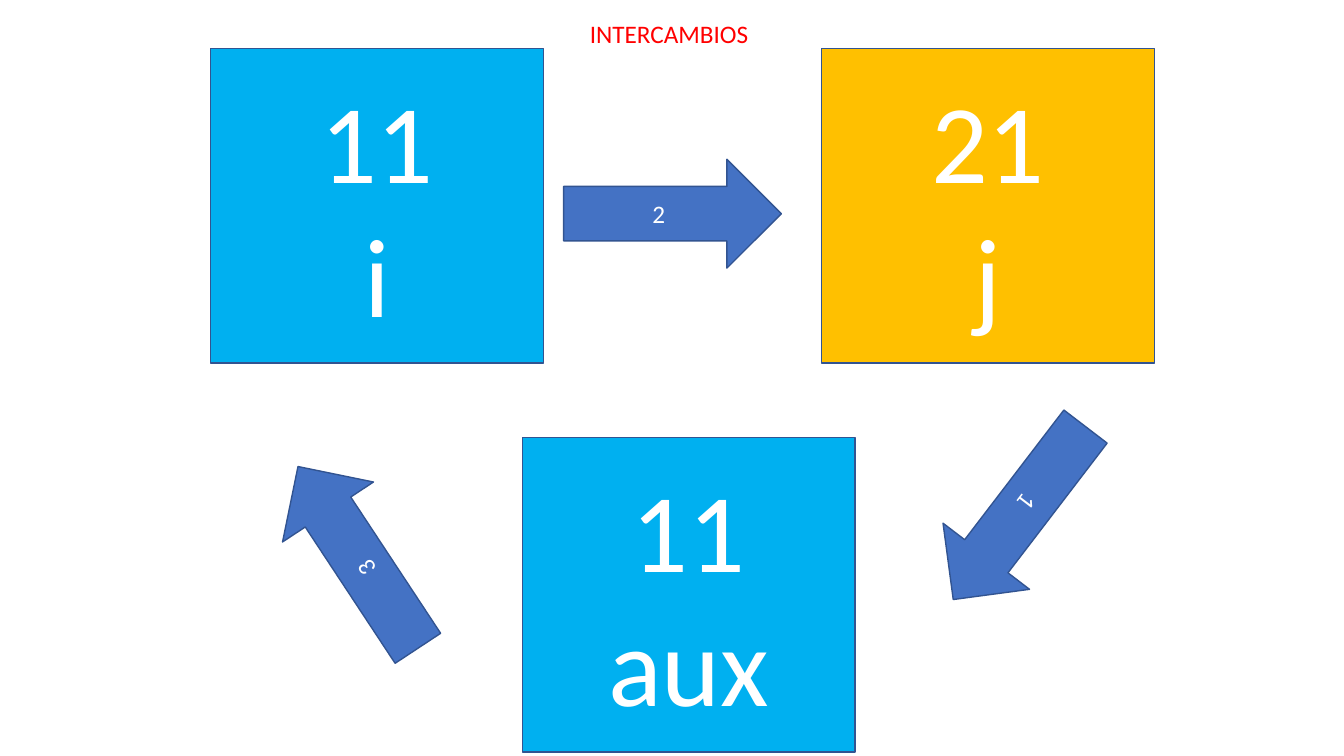
from pptx import Presentation
from pptx.dml.color import RGBColor
from pptx.enum.shapes import MSO_SHAPE
from pptx.enum.text import MSO_ANCHOR, MSO_AUTO_SIZE, PP_ALIGN
from pptx.util import Inches, Pt

BLUE = "00B0F0"
AMBER = "FFC000"
ARROW_BLUE = "4472C4"
OUTLINE = "325491"
WHITE = "FFFFFF"
RED = "FF0000"


def color(value):
    return RGBColor.from_string(value)


def write_text(shape, text, size, text_color, alignment=PP_ALIGN.CENTER):
    frame = shape.text_frame
    frame.text = text
    for paragraph in frame.paragraphs:
        paragraph.alignment = alignment
        paragraph.line_spacing = 1.0
        for span in paragraph.runs:
            span.font.name = "Calibri"
            span.font.size = Pt(size)
            span.font.color.rgb = color(text_color)


def add_filled_shape(page, kind, left, top, width, height, fill, text, size):
    shape = page.shapes.add_shape(
        kind, Inches(left), Inches(top), Inches(width), Inches(height))
    shape.shadow.inherit = False
    shape.fill.solid()
    shape.fill.fore_color.rgb = color(fill)
    shape.line.color.rgb = color(OUTLINE)
    shape.line.width = Pt(1)
    shape.text_frame.vertical_anchor = MSO_ANCHOR.MIDDLE
    write_text(shape, text, size, WHITE)
    return shape


def add_variable(page, left, top, fill, value, name):
    add_filled_shape(page, MSO_SHAPE.RECTANGLE, left, top, 3.3, 3.12,
                     fill, f"{value}\n{name}", 80)


def add_step(page, left, top, rotation, number):
    arrow = add_filled_shape(page, MSO_SHAPE.RIGHT_ARROW, left, top, 2.16, 1.08,
                             ARROW_BLUE, number, 18)
    arrow.rotation = rotation


def set_title(page, text):
    title = page.shapes.title
    title.left, title.top = Inches(5.75), Inches(0.13)
    title.width, title.height = Inches(1.79), Inches(0.4)
    frame = title.text_frame
    frame.word_wrap = False
    frame.auto_size = MSO_AUTO_SIZE.SHAPE_TO_FIT_TEXT
    frame.vertical_anchor = MSO_ANCHOR.TOP
    write_text(title, text, 18, RED, PP_ALIGN.LEFT)


def main():
    """Build the slide that swaps two values through an auxiliary variable."""
    deck = Presentation()
    deck.slide_width, deck.slide_height = Inches(13.33), Inches(7.5)
    page = deck.slides.add_slide(deck.slide_layouts[5])

    set_title(page, "INTERCAMBIOS")
    add_variable(page, 2.09, 0.48, BLUE, "11", "i")
    add_variable(page, 8.15, 0.48, AMBER, "21", "j")
    add_variable(page, 5.18, 4.34, BLUE, "11", "aux")
    add_step(page, 9.03, 4.55, 127.4, "1")
    add_step(page, 5.59, 1.58, 0, "2")
    add_step(page, 2.47, 4.99, 236.6, "3")

    deck.save("out.pptx")


if __name__ == "__main__":
    main()
